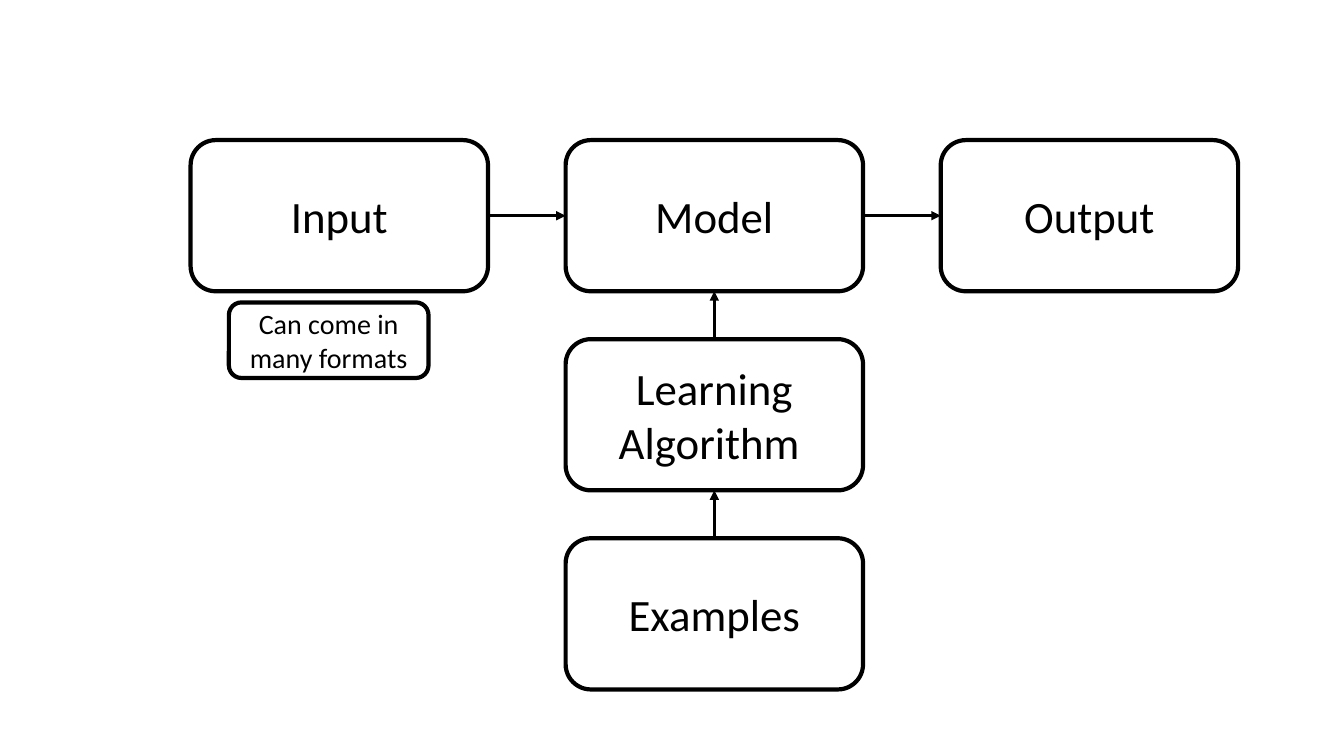
import pptx
import pptx.dml.color
import pptx.enum.shapes
import pptx.enum.text
import pptx.oxml.ns
import pptx.util
from dataclasses import dataclass
from lxml import etree
from pptx.util import Inches

# name: (text, column, row)
STAGES = {
    "input": ("Input", 0, 0),
    "output": ("Output", 2, 0),
    "model": ("Model", 1, 0),
    "learning": ("Learning Algorithm ", 1, 1),
    "examples": ("Examples", 1, 2),
}
INPUT_NOTE = "Can come in many formats"
TOP, LEFT, BOTTOM, RIGHT = range(4)
FLOWS = [
    ("input", RIGHT, "model", LEFT),
    ("learning", TOP, "model", BOTTOM),
    ("model", RIGHT, "output", LEFT),
    ("examples", TOP, "learning", BOTTOM),
]

GRID_LEFT, GRID_TOP = 1.89, 1.39
COLUMN_STEP, ROW_STEP = 3.72, 1.975
STAGE_WIDTH, STAGE_HEIGHT = 2.95, 1.5


@dataclass(frozen=True)
class Theme:
    ink: pptx.dml.color.RGBColor = pptx.dml.color.RGBColor(0, 0, 0)
    font: str = "Calibri"
    stage_size: float = 32
    note_size: float = 20
    outline: float = 3
    arrow: float = 2.25


THEME = Theme()


def add_box(slide, text, left, top, width, height, size):
    box = slide.shapes.add_shape(
        pptx.enum.shapes.MSO_SHAPE.FLOWCHART_ALTERNATE_PROCESS,
        Inches(left), Inches(top), Inches(width), Inches(height))
    box.shadow.inherit = False
    box.fill.background()
    box.line.color.rgb = THEME.ink
    box.line.width = pptx.util.Pt(THEME.outline)
    frame = box.text_frame
    frame.text = text
    frame.word_wrap = True
    frame.vertical_anchor = pptx.enum.text.MSO_ANCHOR.MIDDLE
    paragraph = frame.paragraphs[0]
    paragraph.alignment = pptx.enum.text.PP_ALIGN.CENTER
    font = paragraph.runs[0].font
    font.name = THEME.font
    font.size = pptx.util.Pt(size)
    font.color.rgb = THEME.ink
    return box


def add_arrow(slide, source, source_side, target, target_side):
    arrow = slide.shapes.add_connector(
        pptx.enum.shapes.MSO_CONNECTOR.STRAIGHT, 0, 0, 0, 0)
    arrow.begin_connect(source, source_side)
    arrow.end_connect(target, target_side)
    arrow.line.color.rgb = THEME.ink
    arrow.line.width = pptx.util.Pt(THEME.arrow)
    qn = pptx.oxml.ns.qn
    properties = arrow.element.spPr
    etree.SubElement(properties.find(qn("a:ln")), qn("a:tailEnd"), type="triangle")
    etree.SubElement(properties, qn("a:effectLst"))


def main():
    deck = pptx.Presentation()
    deck.slide_width, deck.slide_height = Inches(13.33), Inches(7.5)
    slide = deck.slides.add_slide(deck.slide_layouts.get_by_name("Blank"))

    stages = {
        name: add_box(slide, text,
                      GRID_LEFT + column * COLUMN_STEP, GRID_TOP + row * ROW_STEP,
                      STAGE_WIDTH, STAGE_HEIGHT, THEME.stage_size)
        for name, (text, column, row) in STAGES.items()
    }
    add_box(slide, INPUT_NOTE, 2.27, 3, 1.98, 0.75, THEME.note_size)
    for source, source_side, target, target_side in FLOWS:
        add_arrow(slide, stages[source], source_side, stages[target], target_side)

    deck.save("out.pptx")


if __name__ == "__main__":
    main()
